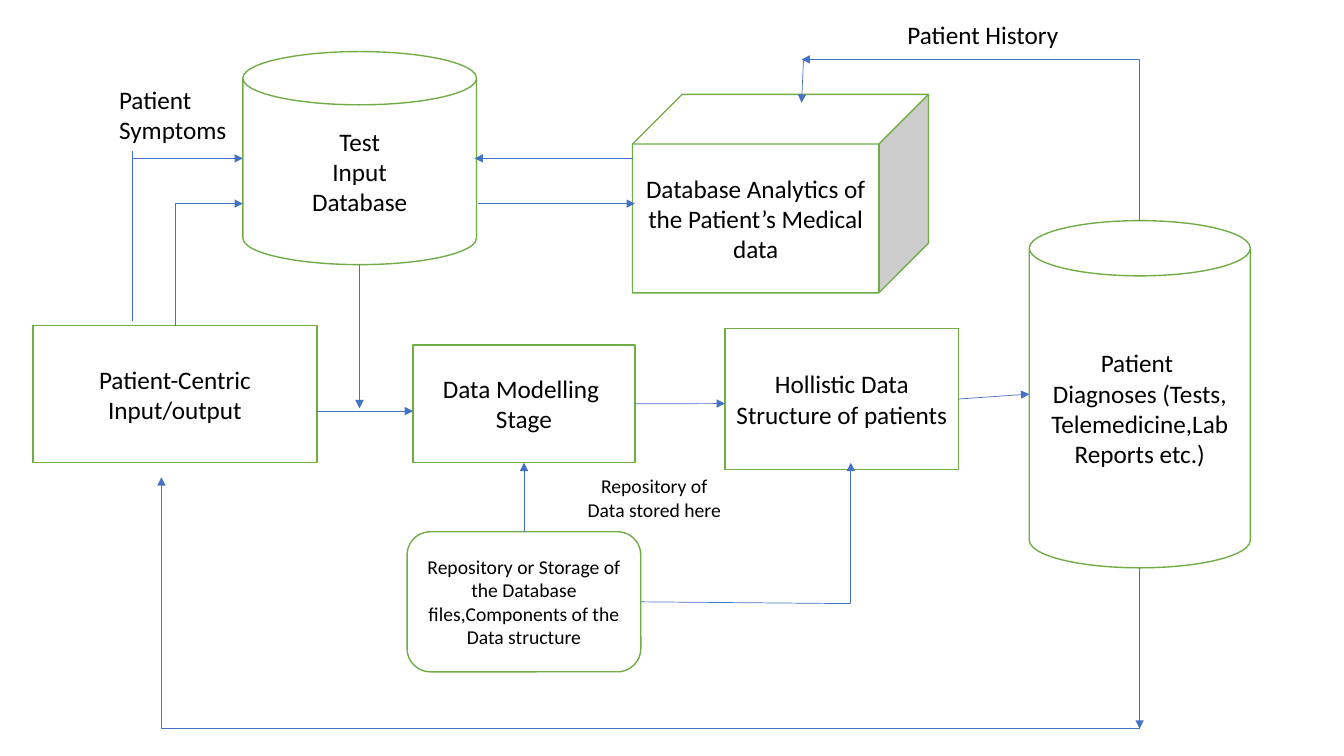
from dataclasses import dataclass
from typing import Optional, Union

from lxml.etree import SubElement
from pptx import Presentation
from pptx.dml.color import RGBColor
from pptx.enum.shapes import MSO_CONNECTOR, MSO_SHAPE
from pptx.enum.text import MSO_ANCHOR, MSO_AUTO_SIZE, PP_ALIGN
from pptx.oxml.ns import qn
from pptx.util import Cm, Pt

COLORS = {"fill": "FFFFFF", "edge": "70AD47", "arrow": "4472C4", "text": "000000"}
FONT = "Calibri"
TOP, LEFT, BOTTOM, RIGHT = range(4)


@dataclass
class Node:
    key: str
    kind: MSO_SHAPE
    box: tuple[float, float, float, float]
    text: str
    size: int = 18


@dataclass
class Label:
    box: tuple[float, float, float, float]
    text: str
    size: int = 18
    align: PP_ALIGN = PP_ALIGN.LEFT


# An end is a point in cm, or a node key with one of its sides.
End = Union[tuple[float, float], tuple[str, int]]


@dataclass
class Link:
    start: End
    end: End
    head: bool = True
    bend: Optional[int] = None  # share of the width before the bend, in 1/100000


NODES = [
    Node("tests", MSO_SHAPE.CAN, (6.12, 1.3, 5.89, 5.37), "Test\nInput\nDatabase"),
    Node("input", MSO_SHAPE.RECTANGLE, (0.83, 8.21, 7.16, 3.45),
         "Patient-Centric\nInput/output"),
    Node("model", MSO_SHAPE.RECTANGLE, (10.41, 8.69, 5.59, 2.97),
         "Data Modelling \nStage"),
    Node("cube", MSO_SHAPE.CUBE, (15.94, 2.38, 7.46, 5),
         "Database Analytics of the Patient’s Medical data"),
    Node("diagnoses", MSO_SHAPE.CAN, (25.94, 5.56, 5.57, 8.75),
         "Patient \nDiagnoses (Tests,\nTelemedicine,Lab Reports etc.)"),
    Node("holistic", MSO_SHAPE.RECTANGLE, (18.27, 8.28, 5.89, 3.55),
         "Hollistic Data Structure of patients"),
    Node("store", MSO_SHAPE.FLOWCHART_ALTERNATE_PROCESS, (10.26, 13.4, 5.89, 3.53),
         "Repository or Storage of the Database files,"
         "Components of the Data structure", 14),
]

LABELS = [
    Label((2.75, 1.99, 3.38, 1.8), "Patient Symptoms"),
    Label((22.62, 0.36, 4.65, 1.02), "Patient History"),
    Label((14.52, 11.82, 3.94, 1.45), "Repository of Data stored here", 14,
          PP_ALIGN.CENTER),
]

LINKS = [
    # Test database and analytics
    Link((12.04, 5.13), (16, 5.13)),
    Link((15.95, 3.99), (11.96, 3.99)),
    # Patient input to the test database
    Link((3.34, 3.81), (3.34, 8.1), head=False),
    Link((3.34, 3.99), (6.12, 3.99)),
    Link((4.41, 5.13), ("input", TOP), head=False),
    Link((4.41, 5.13), (6.12, 5.13)),
    # Main flow
    Link((9.06, 6.68), (9.06, 10.29)),
    Link((7.98, 10.36), (10.41, 10.36)),
    Link(("model", RIGHT), (18.27, 10.17)),
    Link(("holistic", RIGHT), (25.94, 9.93)),
    # Repository
    Link(("store", TOP), ("model", BOTTOM)),
    Link(("store", RIGHT), (21.44, 15.21), head=False),
    Link((21.44, 15.2), (21.44, 11.66)),
    # Diagnoses back to the analytics and the input
    Link((28.72, 5.56), (20.2, 1.5), bend=0),
    Link((20.25, 1.5), (20.2, 2.59)),
    Link((28.72, 14.32), (28.72, 18.36)),
    Link((28.72, 18.36), (4.07, 12.03), bend=100000),
]


def color(name: str) -> RGBColor:
    return RGBColor.from_string(COLORS[name])


def write(frame, text: str, size: int, align: PP_ALIGN) -> None:
    frame.word_wrap = True
    frame.text = text
    for para in frame.paragraphs:
        para.alignment = align
        for run in para.runs:
            run.font.name = FONT
            run.font.size = Pt(size)
            run.font.color.rgb = color("text")


def draw_node(slide, node: Node):
    shape = slide.shapes.add_shape(node.kind, *map(Cm, node.box))
    shape.shadow.inherit = False
    shape.fill.solid()
    shape.fill.fore_color.rgb = color("fill")
    shape.line.color.rgb = color("edge")
    shape.line.width = Pt(1)
    shape.text_frame.vertical_anchor = MSO_ANCHOR.MIDDLE
    write(shape.text_frame, node.text, node.size, PP_ALIGN.CENTER)
    return shape


def draw_label(slide, label: Label) -> None:
    frame = slide.shapes.add_textbox(*map(Cm, label.box)).text_frame
    write(frame, label.text, label.size, label.align)
    frame.auto_size = MSO_AUTO_SIZE.SHAPE_TO_FIT_TEXT


def place(end: End) -> tuple:
    """Give the point of a free end; a joined end is moved later."""
    return (0, 0) if isinstance(end[0], str) else (Cm(end[0]), Cm(end[1]))


def draw_link(slide, link: Link, shapes: dict) -> None:
    kind = MSO_CONNECTOR.STRAIGHT if link.bend is None else MSO_CONNECTOR.ELBOW
    line = slide.shapes.add_connector(kind, *place(link.start), *place(link.end))
    for end, join in ((link.start, line.begin_connect), (link.end, line.end_connect)):
        if isinstance(end[0], str):
            join(shapes[end[0]], end[1])
    line.line.color.rgb = color("arrow")
    line.line.width = Pt(0.5)
    props = line._element.spPr
    SubElement(props, qn("a:effectLst"))
    if link.head:
        SubElement(props.find(qn("a:ln")), qn("a:tailEnd"), type="triangle")
    if link.bend is not None:
        guides = props.find(qn("a:prstGeom")).find(qn("a:avLst"))
        SubElement(guides, qn("a:gd"), name="adj1", fmla=f"val {link.bend}")


def main() -> None:
    deck = Presentation()
    deck.slide_width, deck.slide_height = Cm(33.87), Cm(19.05)
    slide = deck.slides.add_slide(deck.slide_layouts[6])
    shapes = {node.key: draw_node(slide, node) for node in NODES}
    for link in LINKS:
        draw_link(slide, link, shapes)
    for label in LABELS:
        draw_label(slide, label)
    deck.save("out.pptx")


if __name__ == "__main__":
    main()
